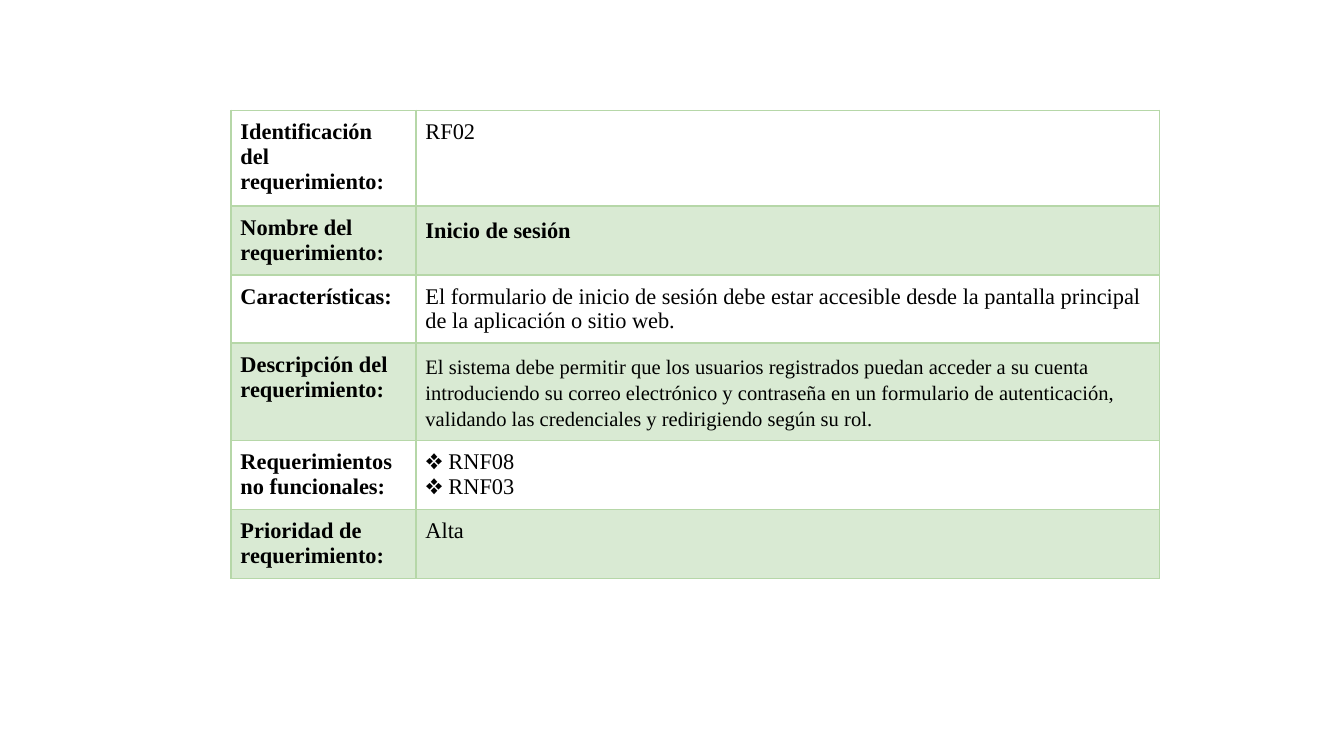
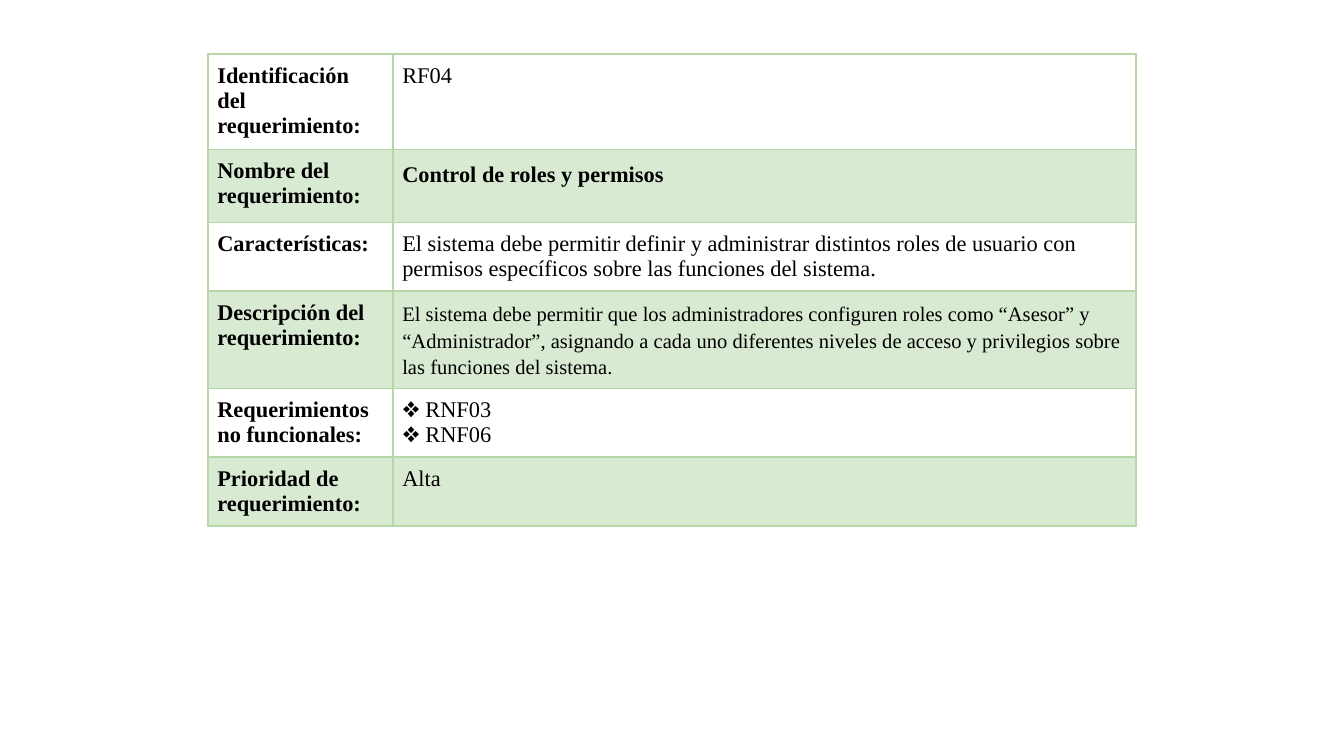
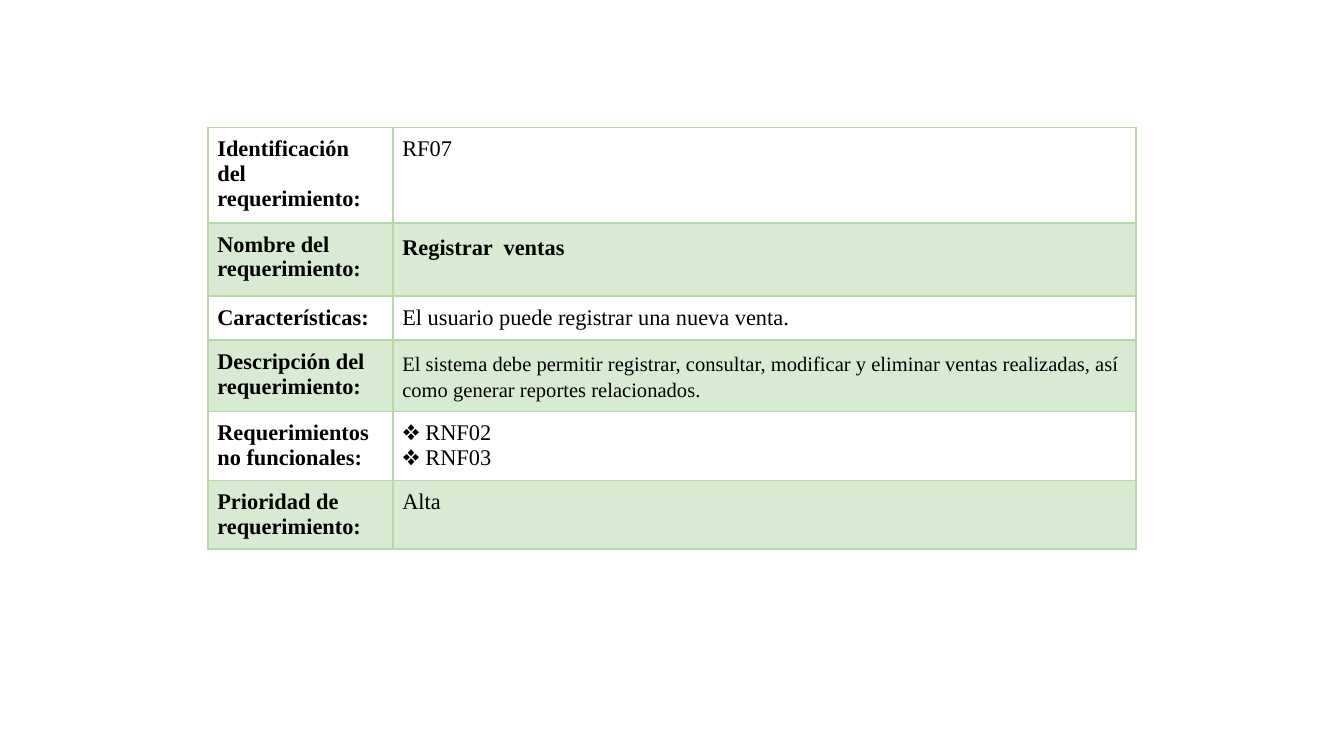
from pptx import Presentation
from pptx.dml.color import RGBColor as RGB
from pptx.oxml import parse_xml
from pptx.oxml.ns import nsdecls
from pptx.util import Inches, Pt

COLORS = {"text": "000000", "band": "D9EAD3", "border": "B6D7A8"}
FONT = "Times New Roman"
BODY, SMALL = 12, 11
LOOSE = 1.15
INSET = Pt(5)
UNIT = 0.1  # grid step in inches
GRID_COLS, GRID_ROWS = 100, 56.25
COL_WIDTHS = (13.76, 55.3)
TWO_LINES = 5.13

LABELS = (
    ("Identificación", "del", "requerimiento:"),
    ("Nombre del", "requerimiento:"),
    ("Características:",),
    ("Descripción del", "requerimiento:"),
    ("Requerimientos", "no funcionales:"),
    ("Prioridad de", "requerimiento:"),
)
# Text style of the value column, row by row
VALUE_STYLES = (
    {},
    {"bold": True, "spacing": LOOSE},
    {},
    {"size": SMALL, "spacing": LOOSE},
    {},
    {},
)

REQUIREMENTS = (
    {
        "at": (17.2, 8.22),
        "name_height": TWO_LINES,
        "values": (
            ("RF02",),
            ("Inicio de sesión",),
            ("El formulario de inicio de sesión debe estar accesible desde la "
             "pantalla principal de la aplicación o sitio web.",),
            ("El sistema debe permitir que los usuarios registrados puedan "
             "acceder a su cuenta introduciendo su correo electrónico y "
             "contraseña en un formulario de autenticación, validando las "
             "credenciales y redirigiendo según su rol.",),
            ("❖ RNF08", "❖ RNF03"),
            ("Alta",),
        ),
    },
    {
        "at": (15.48, 4.02),
        "name_height": 5.44,
        "values": (
            ("RF04",),
            ("Control de roles y permisos",),
            ("El sistema debe permitir definir y administrar distintos roles "
             "de usuario con permisos específicos sobre las funciones del "
             "sistema.",),
            ("El sistema debe permitir que los administradores configuren "
             "roles como “Asesor” y “Administrador”, asignando a cada uno "
             "diferentes niveles de acceso y privilegios sobre las funciones "
             "del sistema.",),
            ("❖ RNF03", "❖ RNF06"),
            ("Alta",),
        ),
    },
    {
        "at": (15.48, 9.48),
        "name_height": 5.44,
        "values": (
            ("RF07",),
            ("Registrar  ventas",),
            ("El usuario puede registrar una nueva venta.",),
            ("El sistema debe permitir registrar, consultar, modificar y "
             "eliminar ventas realizadas, así como generar reportes "
             "relacionados.",),
            ("❖ RNF02", "❖ RNF03"),
            ("Alta",),
        ),
    },
)


def grid(n):
    return Inches(n * UNIT)


class Deck:
    """Holds the presentation, its style and the current slide."""

    def __init__(self):
        self.prs = Presentation()
        self.prs.slide_width = grid(GRID_COLS)
        self.prs.slide_height = grid(GRID_ROWS)
        self.s = None

    def new_slide(self):
        self.s = self.prs.slides.add_slide(self.prs.slide_layouts[6])

    def table(self, at, widths, heights):
        frame = self.s.shapes.add_table(
            len(heights), len(widths), grid(at[0]), grid(at[1]),
            grid(sum(widths)), grid(sum(heights)))
        table = frame.table
        table.first_row = table.horz_banding = False
        for column, width in zip(table.columns, widths):
            column.width = grid(width)
        for row, height in zip(table.rows, heights):
            row.height = grid(height)
        return table

    def cell(self, cell, lines, banded, bold=False, size=BODY, spacing=None):
        cell.margin_left = cell.margin_right = INSET
        cell.margin_top = cell.margin_bottom = INSET
        if banded:
            cell.fill.solid()
            cell.fill.fore_color.rgb = RGB.from_string(COLORS["band"])
        else:
            cell.fill.background()
        self.borders(cell)
        tf = cell.text_frame
        for i, line in enumerate(lines):
            p = tf.add_paragraph() if i else tf.paragraphs[0]
            if spacing:
                p.line_spacing = spacing
            r = p.add_run()
            r.text = line
            r.font.name, r.font.size, r.font.bold = FONT, Pt(size), bold
            r.font.color.rgb = RGB.from_string(COLORS["text"])

    def borders(self, cell):
        """Line all four sides; the lines must precede the fill element."""
        tc_pr = cell._tc.get_or_add_tcPr()
        for i, side in enumerate("LRTB"):
            tc_pr.insert(i, parse_xml(
                f'<a:ln{side} {nsdecls("a")} w="{Pt(1)}"><a:solidFill>'
                f'<a:srgbClr val="{COLORS["border"]}"/></a:solidFill>'
                f'</a:ln{side}>'))

    def requirement(self, at, name_height, values):
        self.new_slide()
        heights = (7.1, name_height, 3.3) + (TWO_LINES,) * 3
        table = self.table(at, COL_WIDTHS, heights)
        rows = zip(LABELS, values, VALUE_STYLES)
        for i, (label, value, style) in enumerate(rows):
            banded = i % 2 == 1
            self.cell(table.cell(i, 0), label, banded, bold=True)
            self.cell(table.cell(i, 1), value, banded, **style)


def main():
    deck = Deck()
    for requirement in REQUIREMENTS:
        deck.requirement(**requirement)
    deck.prs.save("out.pptx")


if __name__ == "__main__":
    main()
